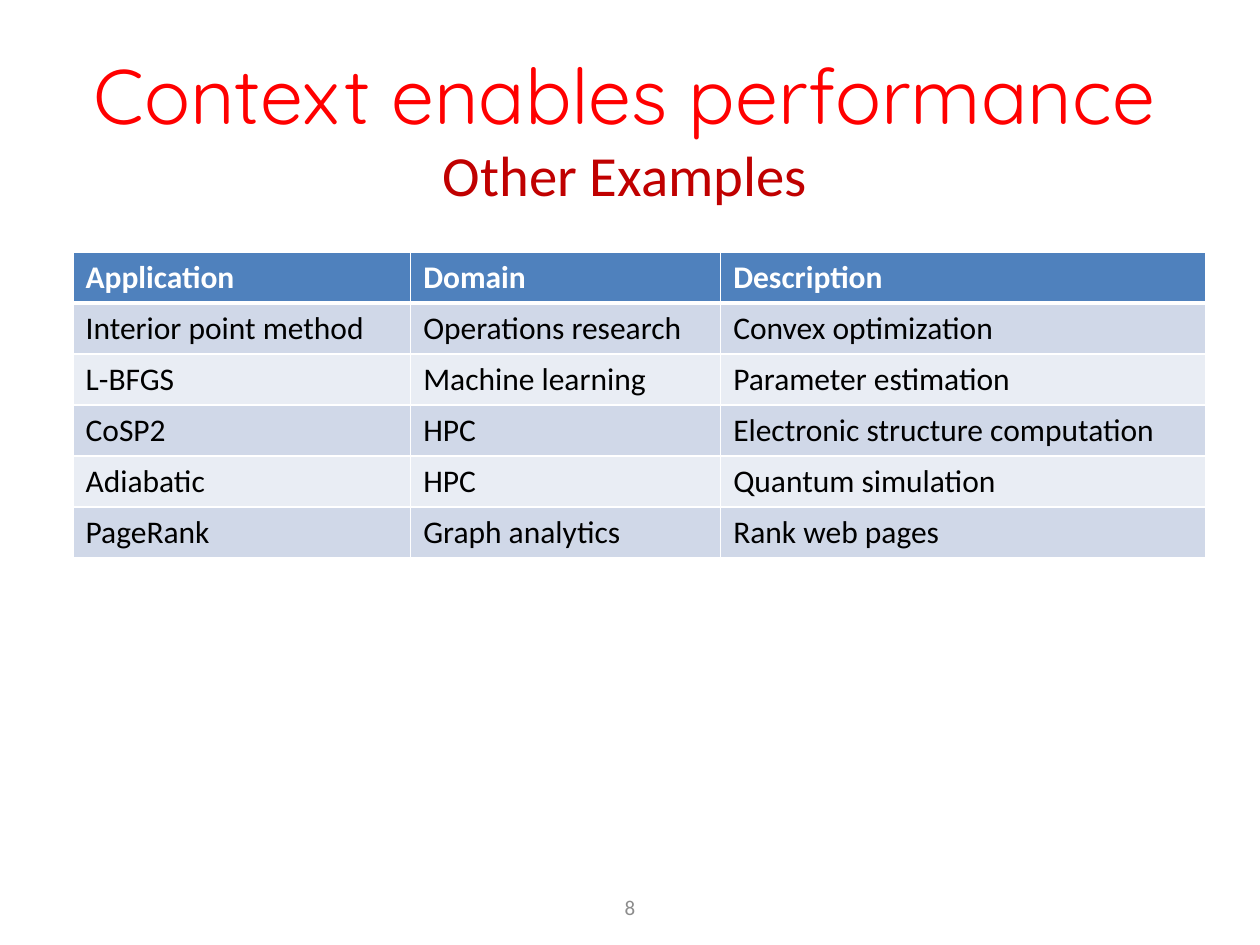
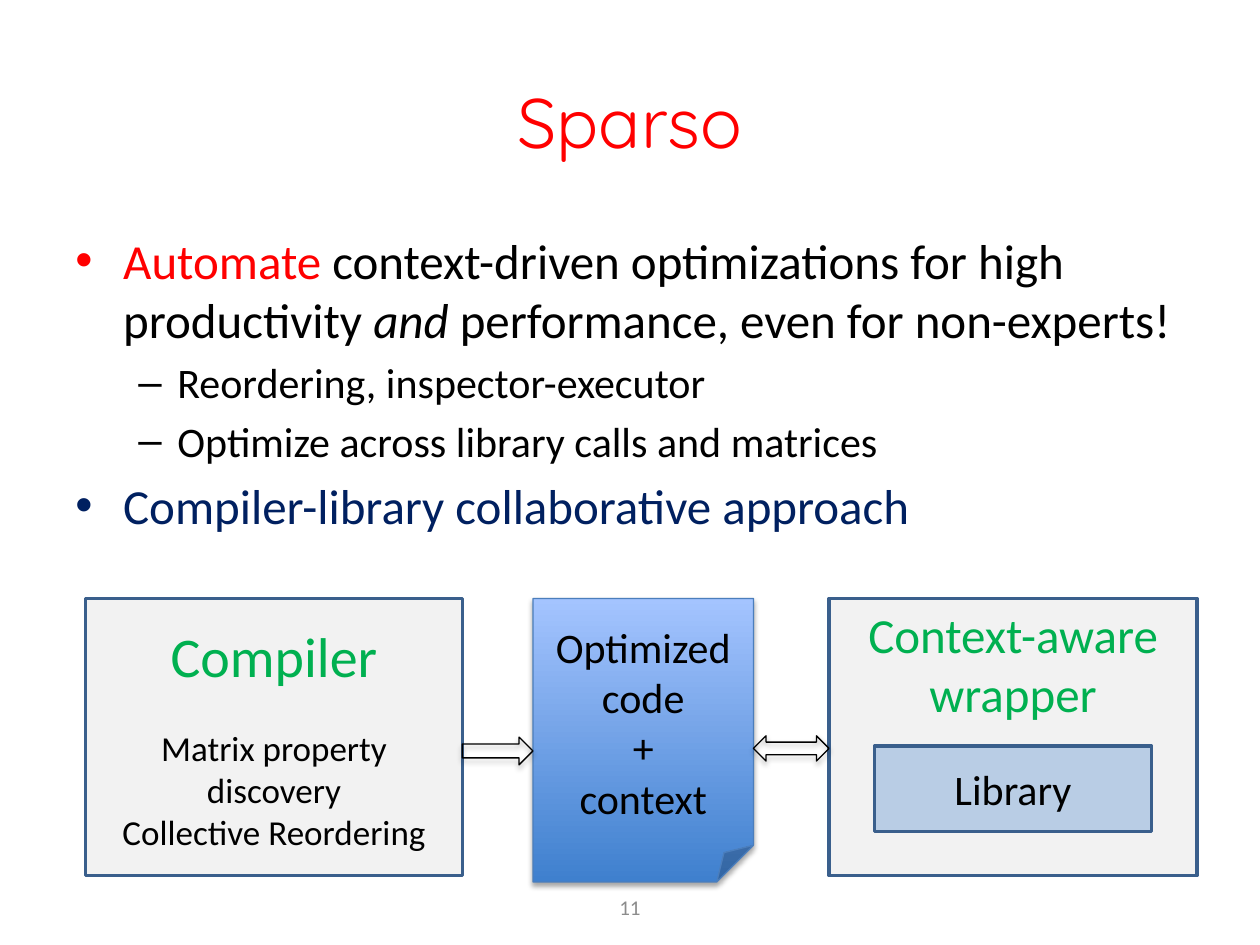
"""Builds two slides: a table of context-driven applications and the Sparso overview."""
from lxml.etree import SubElement
from pptx import Presentation
from pptx.dml.color import RGBColor
from pptx.enum.shapes import MSO_SHAPE as SHAPE
from pptx.enum.text import MSO_ANCHOR as ANCHOR, PP_ALIGN as ALIGN
from pptx.oxml.ns import qn
from pptx.util import Inches, Pt

WIDTH, HEIGHT = 10, 7.5
BODY_FONT, TITLE_FONT = "Calibri", "Quicksand"
RED, CRIMSON, GREEN, NAVY = "FF0000", "C00000", "00B050", "002060"
BLACK, WHITE, GREY, PANEL = "000000", "FFFFFF", "8C8C8C", "F2F2F2"
EDGE, LIBRARY = "3A5F8C", "B9CDE5"
HEADER, BANDS = "4F81BD", ("D0D8E8", "E9EDF4")
PAGE_DARK, PAGE_LIGHT, PAGE_EDGE = "3F80CE", "A4C4FF", "4B7EBC"

APPLICATIONS = [
    ("Application", "Domain", "Description"),
    ("Interior point method", "Operations research", "Convex optimization"),
    ("L-BFGS", "Machine learning", "Parameter estimation"),
    ("CoSP2", "HPC", "Electronic structure computation"),
    ("Adiabatic", "HPC", "Quantum simulation"),
    ("PageRank", "Graph analytics", "Rank web pages"),
]
TABLE_LEFT, TABLE_TOP, ROW_HEIGHT = 0.58, 2, 0.405
COLUMNS = (2.68, 2.46, 3.85)

LEVELS = [
    dict(bullet="•", size=28, left=0.38, hang=0.38),
    dict(bullet="–", size=24, left=0.81, hang=0.31),
]
POINTS = [
    (0, [("Automate ", {"color": RED}),
         ("context-driven optimizations for high productivity ", {}),
         ("and ", {"italic": True}),
         ("performance, even for non-experts!", {})]),
    (1, [("Reordering, inspector-executor", {})]),
    (1, [("Optimize across library calls and matrices", {})]),
    (0, [("Compiler-library collaborative approach", {"color": NAVY})]),
]

FLOW_TOP, PANEL_HEIGHT, PAGE_HEIGHT = 4.75, 2.2, 2.25
COMPILER, PAGE, WRAPPER = (0.68, 2.99), (4.23, 1.75), (6.58, 2.92)
COMPILER_TEXT = [("Compiler", 32, GREEN, 0), ("Matrix property discovery", 20, BLACK, 22),
                 ("Collective Reordering", 20, BLACK, 0)]
PAGE_TEXT = [(t, 24, BLACK, 0) for t in ("Optimized code", "+", "context")]
WRAPPER_TEXT = [("Context-aware wrapper", 28, GREEN, 0)]
LIBRARY_TEXT = [("Library", 24, BLACK, 0)]


def rgb(value):
    return RGBColor.from_string(value)


def add_run(p, text, size, color=BLACK, name=BODY_FONT, **formats):
    r = p.add_run()
    r.text = text
    for key, value in dict(formats, size=Pt(size), name=name).items():
        setattr(r.font, key, value)
    r.font.color.rgb = rgb(color)


def add_text(s, left, top, width, height, anchor=ANCHOR.MIDDLE):
    tf = s.shapes.add_textbox(*map(Inches, (left, top, width, height))).text_frame
    tf.word_wrap, tf.vertical_anchor = True, anchor
    return tf


def add_title(s, box, title, size, subtitle=None):
    p = add_text(s, *box).paragraphs[0]
    p.alignment = ALIGN.CENTER
    add_run(p, title, size, RED, TITLE_FONT)
    if subtitle:
        p.add_line_break()
        add_run(p, subtitle, 32.4, CRIMSON)


def add_number(s, number):
    width = 2.33
    p = add_text(s, (WIDTH - width) / 2, 7, width, 0.4).paragraphs[0]
    p.alignment = ALIGN.CENTER
    add_run(p, str(number), 12, GREY)


def add_border(cell, bottom):
    tcPr = cell._tc.get_or_add_tcPr()
    for i, side in enumerate("LRTB"):
        ln = SubElement(tcPr, qn(f"a:ln{side}"), w=str(Pt(bottom if side == "B" else 1)))
        SubElement(SubElement(ln, qn("a:solidFill")), qn("a:srgbClr"), val=WHITE)
        tcPr.insert(i, ln)


def add_applications(s):
    size = (sum(COLUMNS), ROW_HEIGHT * len(APPLICATIONS))
    table = s.shapes.add_table(len(APPLICATIONS), len(COLUMNS),
                               *map(Inches, (TABLE_LEFT, TABLE_TOP, *size))).table
    for column, width in zip(table.columns, COLUMNS):
        column.width = Inches(width)
    for i, row in enumerate(APPLICATIONS):
        head = i == 0
        for j, text in enumerate(row):
            cell = table.cell(i, j)
            cell.fill.solid()
            cell.fill.fore_color.rgb = rgb(HEADER if head else BANDS[(i - 1) % 2])
            add_border(cell, 3 if head else 1)
            add_run(cell.text_frame.paragraphs[0], text, 18, WHITE if head else BLACK, bold=head)


def add_points(s):
    tf = add_text(s, 0.5, 1.78, 9, 4.95, ANCHOR.TOP)
    for i, (level, runs) in enumerate(POINTS):
        p = tf.add_paragraph() if i else tf.paragraphs[0]
        look = LEVELS[level]
        p.level, p.space_before = level, Pt(look["size"] * 0.2)
        pPr = p._p.get_or_add_pPr()
        pPr.set("marL", str(Inches(look["left"])))
        pPr.set("indent", str(-Inches(look["hang"])))
        SubElement(pPr, qn("a:buFont"), typeface="Arial")
        SubElement(pPr, qn("a:buChar"), char=look["bullet"])
        for text, formats in runs:
            add_run(p, text, look["size"], **formats)


def add_block(s, kind, box, line, weight, fill=None, lines=(), anchor=ANCHOR.MIDDLE, shadow=False):
    sp = s.shapes.add_shape(kind, *map(Inches, box))
    sp.shadow.inherit = False
    sp.line.color.rgb, sp.line.width = rgb(line), Pt(weight)
    if isinstance(fill, tuple):
        sp.fill.gradient()
        sp.fill.gradient_angle = 90
        for stop, color in zip(sp.fill.gradient_stops, fill):
            stop.color.rgb = rgb(color)
    elif fill:
        sp.fill.solid()
        sp.fill.fore_color.rgb = rgb(fill)
    else:
        sp.fill.background()
    if shadow:
        effects = sp._element.spPr.find(qn("a:effectLst"))
        outer = SubElement(effects, qn("a:outerShdw"), blurRad=str(Pt(3.1)), dist=str(Pt(1.8)),
                           dir="5400000", rotWithShape="0")
        color = SubElement(outer, qn("a:srgbClr"), val=BLACK)
        SubElement(color, qn("a:alpha"), val="35000")
    tf = sp.text_frame
    tf.word_wrap, tf.vertical_anchor = True, anchor
    for i, (text, size, color, gap) in enumerate(lines):
        p = tf.add_paragraph() if i else tf.paragraphs[0]
        p.alignment, p.space_before = ALIGN.CENTER, Pt(gap)
        add_run(p, text, size, color)


def add_flow(s):
    for (left, width), lines, anchor in ((WRAPPER, WRAPPER_TEXT, ANCHOR.TOP),
                                         (COMPILER, COMPILER_TEXT, ANCHOR.MIDDLE)):
        add_block(s, SHAPE.RECTANGLE, (left, FLOW_TOP, width, PANEL_HEIGHT),
                  EDGE, 2, PANEL, lines, anchor)
    inner = 2.2
    add_block(s, SHAPE.RECTANGLE, (WRAPPER[0] + (WRAPPER[1] - inner) / 2, 5.92, inner, 0.68),
              EDGE, 2, LIBRARY, LIBRARY_TEXT)
    add_block(s, SHAPE.FOLDED_CORNER, (PAGE[0], FLOW_TOP, PAGE[1], PAGE_HEIGHT),
              PAGE_EDGE, 0.75, (PAGE_DARK, PAGE_LIGHT), PAGE_TEXT, shadow=True)
    for kind, start, end, top, height in (
            (SHAPE.RIGHT_ARROW, COMPILER, PAGE, 5.85, 0.22),
            (SHAPE.LEFT_RIGHT_ARROW, PAGE, WRAPPER, 5.84, 0.2)):
        left = sum(start)
        add_block(s, kind, (left, top, end[0] - left, height), BLACK, 0.75, shadow=True)


def main():
    prs = Presentation()
    prs.slide_width, prs.slide_height = Inches(WIDTH), Inches(HEIGHT)
    examples, sparso = (prs.slides.add_slide(prs.slide_layouts[6]) for _ in range(2))

    add_title(examples, (-0.08, 0.39, 10.08, 1.25), "Context enables performance", 44.1,
              "Other Examples")
    add_applications(examples)
    add_number(examples, 8)

    add_title(sparso, (0.5, 0.33, 9, 1.25), "Sparso", 40)
    add_points(sparso)
    add_number(sparso, 11)
    add_flow(sparso)
    prs.save("out.pptx")


if __name__ == "__main__":
    main()
